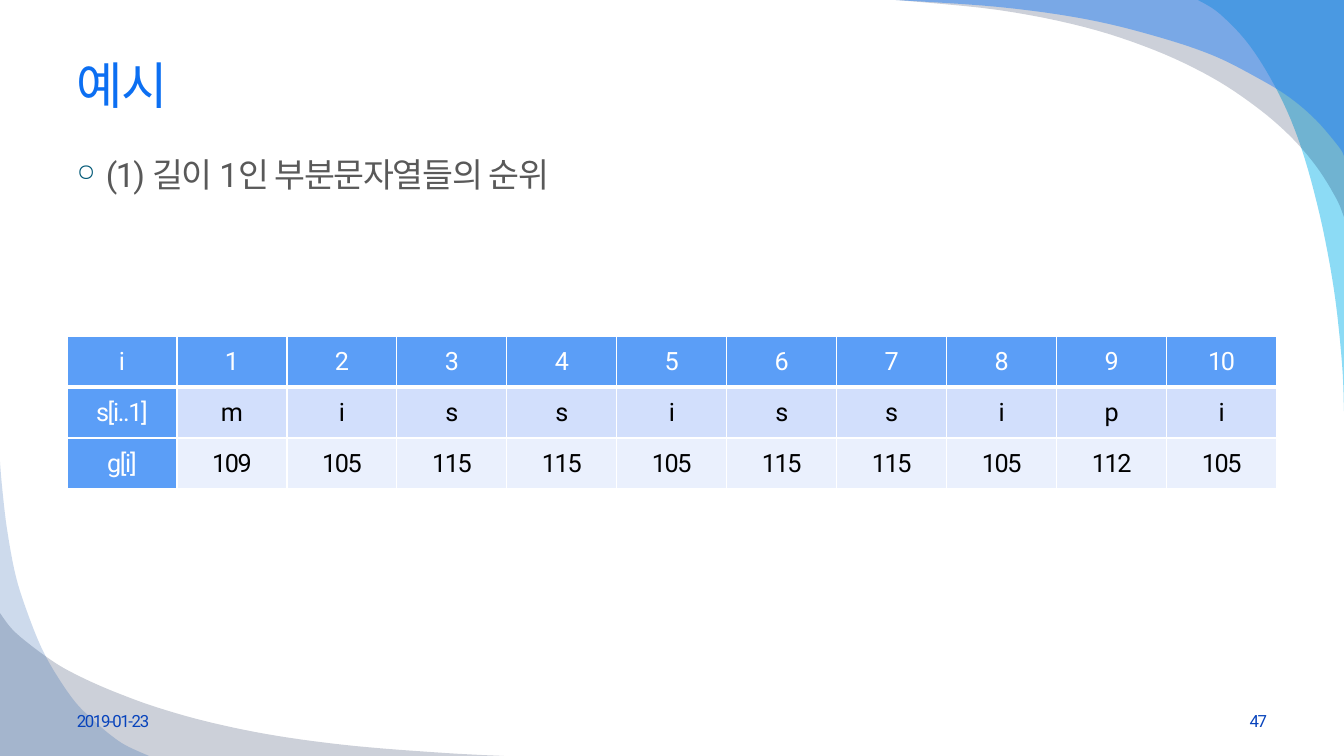
from dataclasses import dataclass

from lxml.etree import SubElement
from pptx import Presentation
from pptx.dml.color import RGBColor
from pptx.enum.text import MSO_ANCHOR as Anchor, PP_ALIGN as Align
from pptx.oxml import parse_xml
from pptx.oxml.ns import nsdecls, qn
from pptx.slide import Slide
from pptx.table import _Cell as Cell
from pptx.text.text import _Paragraph as Paragraph
from pptx.util import Emu, Pt

EMU_PER_PX = 12192000 / 1344
FONT = "Roboto"
CURVE_STEPS = 6
COLORS = {
    "cyan": "00B1E9",
    "navy": "021741",
    "blue": "247FF4",
    "steel": "084AA1",
    "title": "0C6FF2",
    "body": "595959",
    "bullet": "005876",
    "footer": "0743BC",
    "header": "5B9EF7",
    "odd_row": "D2DFFC",
    "even_row": "EAF0FD",
    "white": "FFFFFF",
    "black": "000000",
}
Point = tuple[float, float]


@dataclass(frozen=True)
class Wave:
    color: str
    opacity: int
    corner: Point
    edge: tuple[Point, ...]


@dataclass(frozen=True)
class Label:
    text: str
    left: int
    top: int
    width: int
    height: int
    size: int
    color: str
    anchor: Anchor = Anchor.MIDDLE
    align: Align = Align.LEFT
    bulleted: bool = False


WAVES = [
    Wave("cyan", 45, (1344, 0), (
        (1198, 0), (1220, 14), (1250, 46), (1279, 94), (1301, 147),
        (1320, 216), (1334, 290), (1342, 363), (1344, 411))),
    Wave("navy", 20, (1344, 0), (
        (896, 0), (998, 10), (1084, 27), (1154, 50), (1211, 77),
        (1255, 106), (1289, 135), (1316, 166), (1336, 198), (1344, 217))),
    Wave("blue", 49, (1344, 0), (
        (896, 0), (999, 7), (1085, 19), (1155, 36), (1212, 55),
        (1256, 77), (1289, 97), (1316, 120), (1339, 147), (1344, 156))),
    Wave("navy", 20, (0, 756), (
        (0, 613), (16, 633), (51, 660), (79, 676), (115, 692), (159, 708),
        (213, 723), (278, 736), (355, 746), (445, 753), (504, 756))),
    Wave("steel", 20, (0, 756), (
        (149, 756), (125, 745), (108, 733), (92, 719), (76, 703), (59, 679),
        (43, 651), (29, 617), (16, 577), (7, 529), (2, 486), (0, 462))),
]
LABELS = [
    Label("예시", 67, 33, 1210, 102, 36, "title"),
    Label("(1) 길이 1인 부분문자열들의 순위", 67, 149, 1210, 526, 24, "body",
          anchor=Anchor.TOP, bulleted=True),
    Label("2019-01-23", 67, 701, 313, 40, 12, "footer"),
    Label("47", 964, 701, 313, 40, 12, "footer", align=Align.RIGHT),
]
LETTERS = "mississipi"
RANK_ROWS = [
    ["i", *(str(index) for index in range(1, len(LETTERS) + 1))],
    ["s[i..1]", *LETTERS],
    ["g[i]", *(str(ord(letter)) for letter in LETTERS)],
]
ROW_COLORS = ["header", "odd_row", "even_row"]


def px(length: float) -> Emu:
    return Emu(round(length * EMU_PER_PX))


def rgb(color: str) -> RGBColor:
    return RGBColor.from_string(COLORS[color])


def spline(before: float, start: float, end: float, after: float, t: float) -> float:
    return 0.5 * (2 * start + (end - before) * t
                  + (2 * before - 5 * start + 4 * end - after) * t ** 2
                  + (3 * start - before - 3 * end + after) * t ** 3)


def smooth_edge(knots: tuple[Point, ...]) -> list[Point]:
    padded = [knots[0], *knots, knots[-1]]
    points = [knots[0]]
    for group in zip(padded, padded[1:], padded[2:], padded[3:]):
        xs, ys = zip(*group)
        for step in range(1, CURVE_STEPS + 1):
            t = step / CURVE_STEPS
            points.append((spline(*xs, t), spline(*ys, t)))
    return points


def draw_wave(slide: Slide, wave: Wave) -> None:
    outline = [(px(x), px(y)) for x, y in [wave.corner, *smooth_edge(wave.edge)]]
    builder = slide.shapes.build_freeform(*outline[0])
    builder.add_line_segments(outline[1:], close=True)
    shape = builder.convert_to_shape()
    shape.shadow.inherit = False
    shape.line.fill.background()
    shape.fill.solid()
    shape.fill.fore_color.rgb = rgb(wave.color)
    tint = shape._element.spPr.find(qn("a:solidFill")).find(qn("a:srgbClr"))
    SubElement(tint, qn("a:alpha"), val=str(wave.opacity * 1000))


def add_run(paragraph: Paragraph, text: str, size: int, color: str) -> None:
    run = paragraph.add_run()
    run.text = text
    run.font.size = Pt(size)
    run.font.name = FONT
    run.font.color.rgb = rgb(color)
    properties = run._r.get_or_add_rPr()
    properties.set("spc", "-100")
    SubElement(properties, qn("a:ea"), typeface=FONT)


def add_bullet(paragraph: Paragraph) -> None:
    properties = paragraph._p.get_or_add_pPr()
    properties.set("marL", str(px(29)))
    properties.set("indent", str(-px(29)))
    bullet_color = SubElement(properties, qn("a:buClr"))
    SubElement(bullet_color, qn("a:srgbClr"), val=COLORS["bullet"])
    SubElement(properties, qn("a:buSzPct"), val="70000")
    SubElement(properties, qn("a:buChar"), char="○")


def draw_label(slide: Slide, label: Label) -> None:
    box = slide.shapes.add_textbox(
        px(label.left), px(label.top), px(label.width), px(label.height))
    frame = box.text_frame
    frame.word_wrap = True
    frame.vertical_anchor = label.anchor
    paragraph = frame.paragraphs[0]
    paragraph.alignment = label.align
    if label.bulleted:
        add_bullet(paragraph)
    add_run(paragraph, label.text, label.size, label.color)


def set_borders(cell: Cell, widths: dict[str, int]) -> None:
    properties = cell._tc.get_or_add_tcPr()
    for position, (side, width) in enumerate(widths.items()):
        properties.insert(position, parse_xml(
            f'<a:ln{side} {nsdecls("a")} w="{Pt(width)}"><a:solidFill>'
            f'<a:srgbClr val="{COLORS["white"]}"/></a:solidFill></a:ln{side}>'))


def draw_rank_table(slide: Slide) -> None:
    rows, columns = len(RANK_ROWS), len(RANK_ROWS[0])
    table = slide.shapes.add_table(
        rows, columns, px(67), px(336), px(110 * columns), px(51 * rows)).table
    table.first_row = False
    table.horz_banding = False
    for row, texts in enumerate(RANK_ROWS):
        for column, text in enumerate(texts):
            cell = table.cell(row, column)
            heading = row == 0 or column == 0
            cell.fill.solid()
            cell.fill.fore_color.rgb = rgb("header" if heading else ROW_COLORS[row])
            cell.vertical_anchor = Anchor.MIDDLE
            set_borders(cell, {"L": 1, "R": 1, "T": 3 if row == 1 else 1,
                               "B": 3 if row == 0 else 1})
            paragraph = cell.text_frame.paragraphs[0]
            paragraph.alignment = Align.CENTER
            add_run(paragraph, text, 18, "white" if heading else "black")


def main() -> None:
    deck = Presentation()
    deck.slide_width, deck.slide_height = px(1344), px(756)
    slide = deck.slides.add_slide(deck.slide_layouts[6])
    for wave in WAVES:
        draw_wave(slide, wave)
    for label in LABELS:
        draw_label(slide, label)
    draw_rank_table(slide)
    deck.save("out.pptx")


if __name__ == "__main__":
    main()
